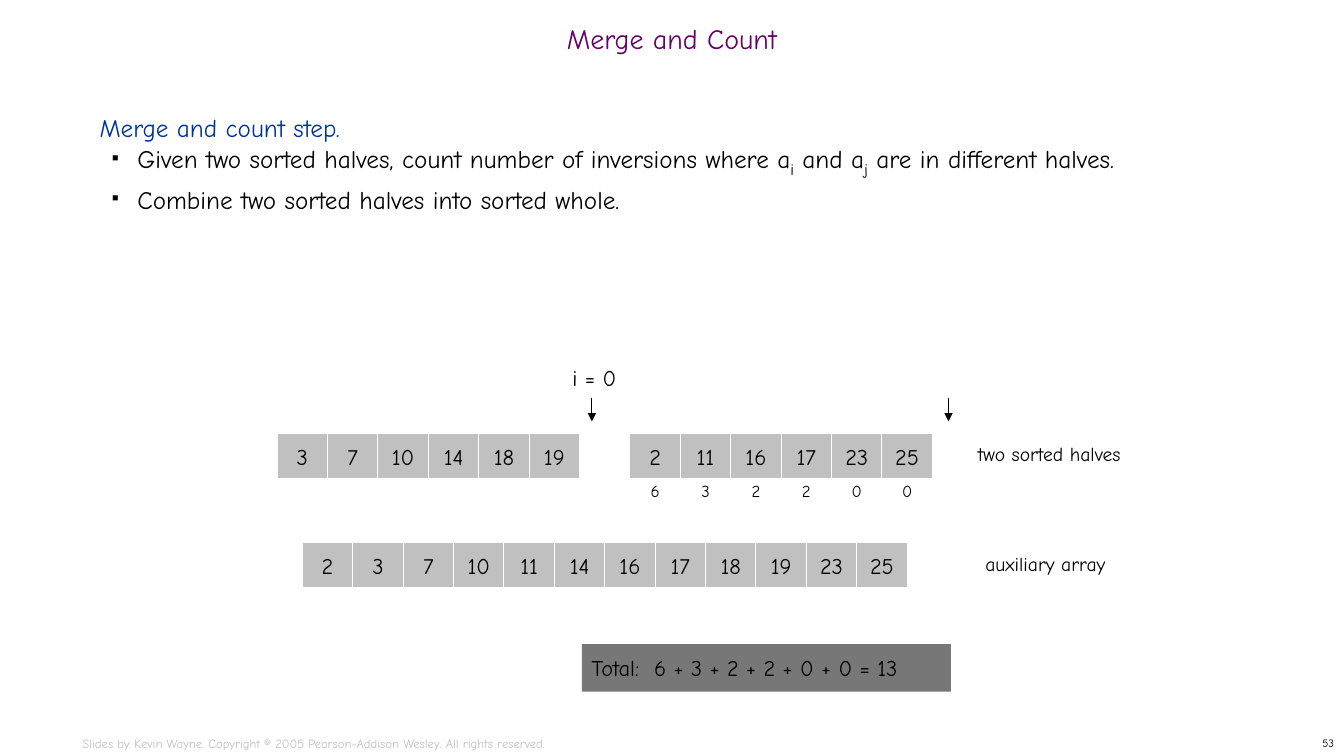
from dataclasses import dataclass

from lxml import etree
from pptx import Presentation
from pptx import util as u
from pptx.dml.color import RGBColor
from pptx.enum import shapes, text
from pptx.oxml import ns

Pt = u.Pt
CENTER, LEFT, RIGHT = text.PP_ALIGN.CENTER, text.PP_ALIGN.LEFT, text.PP_ALIGN.RIGHT
TOP, MIDDLE = text.MSO_ANCHOR.TOP, text.MSO_ANCHOR.MIDDLE


@dataclass(frozen=True)
class Theme:
    font: str = "Comic Neue"
    ink: str = "000000"
    title: str = "660066"
    heading: str = "003399"
    cell: str = "C0C0C0"
    edge: str = "FFFFFF"
    total: str = "777777"
    faint: str = "C0C0C0"
    title_size: int = 20
    body_size: int = 18
    subscript_size: int = 20
    value_size: int = 16
    label_size: int = 14
    count_size: int = 12
    credit_size: int = 9
    page_size: int = 8


THEME = Theme()
CELL_WIDTH, CELL_HEIGHT = 36, 32.4


def color(value):
    return RGBColor.from_string(value)


def style(para, size, ink=THEME.ink, align=LEFT):
    para.alignment = align
    for span in para.runs:
        span.font.name = THEME.font
        span.font.size = Pt(size)
        span.font.color.rgb = color(ink)


def set_insets(frame, across, down):
    frame.margin_left = frame.margin_right = Pt(across)
    frame.margin_top = frame.margin_bottom = Pt(down)


def add_label(page, wording, left, top, width, height, size,
              ink=THEME.ink, align=CENTER, anchor=TOP, inset=7.2):
    box = page.shapes.add_textbox(Pt(left), Pt(top), Pt(width), Pt(height))
    frame = box.text_frame
    frame.word_wrap = True
    frame.vertical_anchor = anchor
    set_insets(frame, inset, 3.6)
    frame.text = wording
    style(frame.paragraphs[0], size, ink, align)
    return frame


def add_rectangle(page, wording, left, top, width, height, fill):
    box = page.shapes.add_shape(shapes.MSO_SHAPE.RECTANGLE,
                                Pt(left), Pt(top), Pt(width), Pt(height))
    box.shadow.inherit = False
    box.fill.solid()
    box.fill.fore_color.rgb = color(fill)
    box.text_frame.text = wording
    return box


def add_array(page, values, left, top):
    for index, value in enumerate(values):
        box = add_rectangle(page, str(value), left + index * CELL_WIDTH, top,
                            CELL_WIDTH, CELL_HEIGHT, THEME.cell)
        box.line.color.rgb = color(THEME.edge)
        box.line.width = Pt(0.75)
        box.text_frame.word_wrap = False
        box.text_frame.vertical_anchor = MIDDLE
        style(box.text_frame.paragraphs[0], THEME.value_size, align=CENTER)


def add_counts(page, counts, left, top):
    """Put one inversion count under each cell of an array."""
    for index, count in enumerate(counts):
        add_label(page, str(count), left + index * CELL_WIDTH, top,
                  CELL_WIDTH, 21.6, THEME.count_size)


def add_pointer(page, x, top, bottom):
    arrow = page.shapes.add_connector(shapes.MSO_CONNECTOR.STRAIGHT,
                                      Pt(x), Pt(top), Pt(x), Pt(bottom))
    arrow.line.color.rgb = color(THEME.ink)
    arrow.line.width = Pt(0.75)
    etree.SubElement(arrow.line._get_or_add_ln(), ns.qn("a:tailEnd"), type="triangle")
    etree.SubElement(arrow._element.spPr, ns.qn("a:effectLst"))


def add_total(page, counts):
    wording = f"Total:\t{' + '.join(map(str, counts))} = {sum(counts)}"
    box = add_rectangle(page, wording, 415.6, 460, 263.6, 34, THEME.total)
    box.line.fill.background()
    frame = box.text_frame
    frame.vertical_anchor = TOP
    set_insets(frame, 7.2, 7.2)
    para = frame.paragraphs[0]
    stops = etree.SubElement(para._p.get_or_add_pPr(), ns.qn("a:tabLst"))
    etree.SubElement(stops, ns.qn("a:tab"), pos=str(Pt(44.5)), algn="l")
    style(para, THEME.value_size)


def add_bullet(para):
    properties = para._p.get_or_add_pPr()
    properties.set("marL", str(Pt(27)))
    properties.set("indent", str(Pt(-18)))
    ink = etree.SubElement(properties, ns.qn("a:buClr"))
    etree.SubElement(ink, ns.qn("a:srgbClr"), val=THEME.ink)
    etree.SubElement(properties, ns.qn("a:buSzPct"), val="35000")
    etree.SubElement(properties, ns.qn("a:buChar"), char="■")


def add_step(page, heading, bullets):
    """Each bullet is a list of pieces, in which every second one is a subscript."""
    frame = add_label(page, heading, 64, 72, 824, 426, THEME.body_size,
                      THEME.heading, LEFT)
    for pieces in bullets:
        para = frame.add_paragraph()
        add_bullet(para)
        for piece in pieces:
            para.add_run().text = piece
        style(para, THEME.body_size)
        for span in para.runs[1::2]:
            span.font.size = Pt(THEME.subscript_size)
            span.font._element.set("baseline", "-25000")
    for para in frame.paragraphs:
        para.line_spacing = Pt(26)


def set_title(page, wording):
    title = page.shapes.title
    title.left, title.top, title.width, title.height = Pt(0), Pt(12), Pt(960), Pt(36)
    frame = title.text_frame
    frame.text = wording
    frame.auto_size = text.MSO_AUTO_SIZE.NONE
    frame.vertical_anchor = MIDDLE
    frame.paragraphs[0].line_spacing = 0.7
    style(frame.paragraphs[0], THEME.title_size, THEME.title, CENTER)


def main():
    deck = Presentation()
    deck.slide_width, deck.slide_height = Pt(960), Pt(540)
    page = deck.slides.add_slide(deck.slide_layouts[5])
    left_half = [3, 7, 10, 14, 18, 19]
    right_half = [2, 11, 16, 17, 23, 25]
    counts = [sum(a > b for a in left_half) for b in right_half]

    set_title(page, "Merge and Count")
    add_step(page, "Merge and count step.", [
        ["Given two sorted halves, count number of inversions where a", "i",
         " and a", "j", " are in different halves."],
        ["Combine two sorted halves into sorted whole."],
    ])

    add_label(page, "i = 0", 349.5, 256.3, 150, 26.6, THEME.value_size)
    for x in (422.8, 677.5):
        add_pointer(page, x, 284.4, 301)
    add_array(page, left_half, 198, 309.6)
    add_array(page, right_half, 450, 309.6)
    add_counts(page, counts, 450, 340)
    add_label(page, "two sorted halves", 672.5, 311.8, 154, 24.5, THEME.label_size)

    add_array(page, sorted(left_half + right_half), 216, 387.4)
    add_label(page, "auxiliary array", 671.8, 391, 150, 24.5, THEME.label_size)
    add_total(page, counts)

    add_label(page, "Slides by Kevin Wayne. Copyright © 2005 Pearson-Addison Wesley. "
              "All rights reserved.", 51.8, 522, 404.6, 18, THEME.credit_size,
              THEME.faint, LEFT)
    add_label(page, "53", 760, 522, 200, 18, THEME.page_size, align=RIGHT, anchor=MIDDLE)
    deck.save("out.pptx")


if __name__ == "__main__":
    main()
